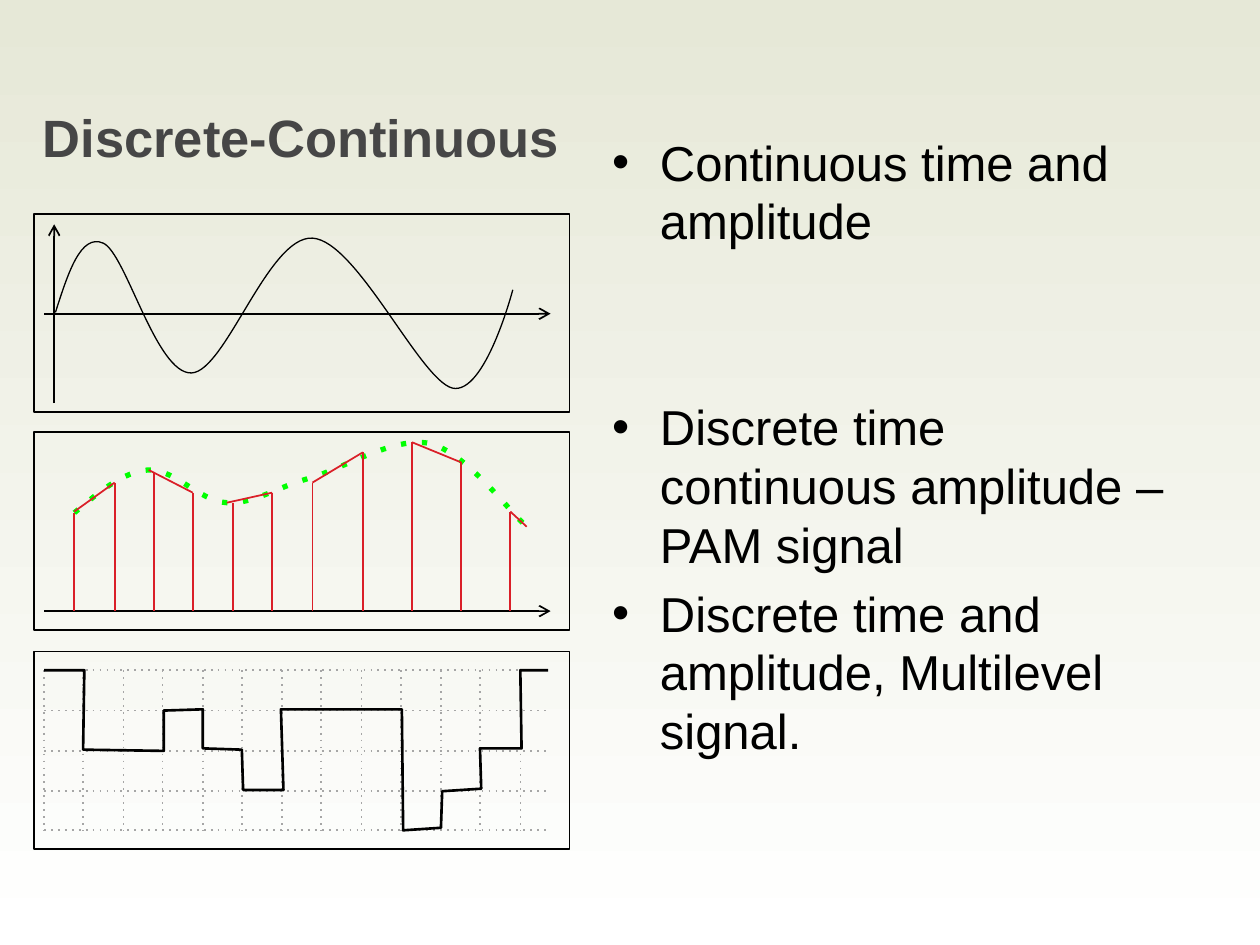
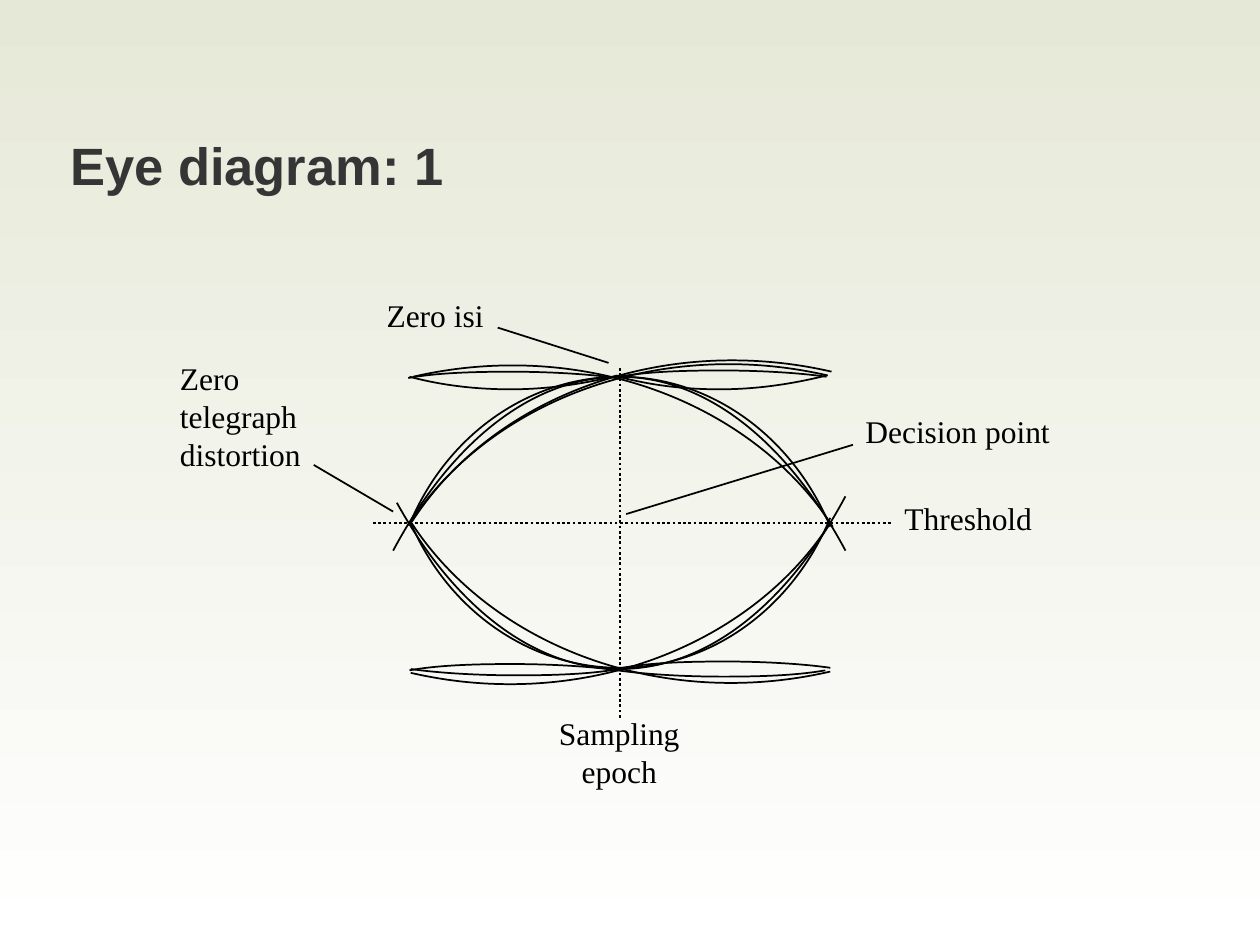
from dataclasses import dataclass

from lxml import etree
from pptx import Presentation
from pptx import util as u
from pptx.dml.color import RGBColor
from pptx.enum import shapes, text
from pptx.oxml.ns import qn

PX = 9144  # EMU per px, 100 px to the inch


@dataclass(frozen=True)
class Theme:
    sky: str = "E6E8D7"
    paper: str = "FFFFFF"
    ink: str = "000000"
    title: str = "464646"
    title_dark: str = "353535"
    sample: str = "DA1F28"
    envelope: str = "00FF00"
    grid: str = "A6A6A6"
    sans: str = "Arial"
    serif: str = "Times New Roman"
    title_size: int = 30
    body_size: int = 28
    label_size: int = 18


class Slides:
    def __init__(self, theme):
        self.theme = theme
        self.deck = Presentation()
        self.deck.slide_width, self.deck.slide_height = 1000 * PX, 750 * PX
        self.page = None

    def new_page(self):
        self.page = self.deck.slides.add_slide(self.deck.slide_layouts[6])
        fill = self.page.background.fill
        fill.gradient()
        fill.gradient_angle = 270
        for stop, color, place in zip(fill.gradient_stops, (self.theme.sky, self.theme.paper), (0, 1)):
            stop.color.rgb = RGBColor.from_string(color)
            stop.position = place

    def stroke(self, shape, color, width, dash=None, arrow=False):
        shape.line.color.rgb = RGBColor.from_string(color or self.theme.ink)
        shape.line.width = u.Pt(width)
        outline = shape.element.spPr.find(qn("a:ln"))
        if dash:
            etree.SubElement(outline, qn("a:prstDash"), val=dash)
        if arrow:
            etree.SubElement(outline, qn("a:tailEnd"), type="arrow")

    def line(self, start, end, color=None, width=1, dash=None, arrow=False):
        ends = [v * PX for v in (*start, *end)]
        connector = self.page.shapes.add_connector(shapes.MSO_CONNECTOR.STRAIGHT, *ends)
        self.stroke(connector, color, width, dash, arrow)
        etree.SubElement(connector.element.spPr, qn("a:effectLst"))

    def frame(self, *place):
        box = self.page.shapes.add_shape(shapes.MSO_SHAPE.RECTANGLE, *(v * PX for v in place))
        box.fill.background()
        box.shadow.inherit = False
        self.stroke(box, None, 1)

    def outline(self, points, color=None, width=1, dash=None):
        builder = self.page.shapes.build_freeform(*points[0], scale=PX)
        builder.add_line_segments(points[1:], close=False)
        shape = builder.convert_to_shape()
        shape.fill.background()
        shape.shadow.inherit = False
        self.stroke(shape, color, width, dash)
        return shape

    def curve(self, points, **style):
        """Bezier curve: a start, then two handles and an anchor per segment."""
        shape = self.outline(points, **style)
        steps = shape.element.xpath(".//a:lnTo")
        for i in range(0, len(steps), 3):
            bend = etree.Element(qn("a:cubicBezTo"))
            steps[i].addprevious(bend)
            for step in steps[i:i + 3]:
                bend.append(step[0])
                step.getparent().remove(step)

    def text_box(self, place, lines, font, size, color=None, bold=False,
                 align=text.PP_ALIGN.LEFT, anchor=text.MSO_ANCHOR.TOP, gaps=(0,), bullet=False):
        frame = self.page.shapes.add_textbox(*(v * PX for v in place)).text_frame
        frame.word_wrap = True
        frame.vertical_anchor = anchor
        for i, (line, gap) in enumerate(zip(lines, gaps)):
            para = frame.paragraphs[0] if i == 0 else frame.add_paragraph()
            para.text = line
            para.alignment = align
            if gap:
                para.space_before = u.Pt(gap)
            if bullet:
                props = para._p.get_or_add_pPr()
                props.set("marL", str(38 * PX))
                props.set("indent", str(-38 * PX))
                etree.SubElement(props, qn("a:buFont"), typeface=font)
                etree.SubElement(props, qn("a:buChar"), char="•")
            para.font.name, para.font.size, para.font.bold = font, u.Pt(size), bold
            para.font.color.rgb = RGBColor.from_string(color or self.theme.ink)

    def title(self, place, words, color):
        self.text_box(place, [words], self.theme.sans, self.theme.title_size, color,
                      bold=True, anchor=text.MSO_ANCHOR.MIDDLE)

    def bullets(self, place, lines, gaps):
        self.text_box(place, lines, self.theme.sans, self.theme.body_size, gaps=gaps, bullet=True)

    def label(self, place, words, **style):
        self.text_box(place, [words], self.theme.serif, self.theme.label_size, **style)


def placed(arc, origin, flip_x=1, flip_y=1):
    return [(origin[0] + flip_x * x, origin[1] + flip_y * y) for x, y in arc]


def signal_types(s):
    theme = s.theme
    s.new_page()
    s.title((24, 77, 928, 63), "Discrete-Continuous", theme.title)
    s.bullets((476, 100, 464, 543),
              ["Continuous time and amplitude",
               "Discrete time continuous amplitude –PAM signal",
               "Discrete time and amplitude, Multilevel signal."],
              gaps=(0, 84, 5.6))
    for i in range(3):
        s.frame(27, 170 + 347 * i // 2, 425, 157)

    # Continuous signal
    s.line((43, 320), (43, 178), arrow=True)
    s.line((35, 249), (437, 249), arrow=True)
    s.curve([(44, 248), (54, 217), (64, 185), (82, 193), (100, 201), (124, 297), (152, 296),
             (179, 295), (213, 187), (248, 189), (283, 191), (333, 301), (359, 308),
             (385, 314), (407, 230), (407, 230)], width=0.75)

    # Sampled signal: envelope, pulses and their tops
    base = 485
    s.line((35, base), (437, base), arrow=True)
    s.curve([(59, 407), (78, 391), (98, 374), (118, 373), (138, 372), (159, 398), (180, 399),
             (201, 400), (217, 388), (244, 380), (271, 373), (312, 346), (341, 352),
             (370, 359), (405, 407), (418, 418)], color=theme.envelope, width=3, dash="dot")
    pulses = [(59, 407), (91, 383), (122, 375), (153, 391), (185, 399), (216, 391),
              (248, 383), (288, 359), (327, 351), (366, 367), (405, 406)]
    for x, top in pulses:
        s.line((x, top), (x, base), theme.sample)
    tops = [((59, 406), (91, 383)), ((118, 373), (153, 391)), ((180, 399), (216, 391)),
            ((288, 359), (248, 383)), ((327, 351), (366, 367)), ((405, 406), (418, 418))]
    for start, end in tops:
        s.line(start, end, theme.sample)

    # Multilevel signal on its grid
    for i in range(5):
        y = 659 - 127 * i // 4
        s.line((35, y), (437, y), theme.grid, dash="dot")
    for i in range(13):
        x = 35 + 63 * i // 2
        s.line((x, 532), (x, 659), theme.grid, dash="dot")
    s.outline([(35, 532), (67, 532), (66, 595), (130, 596), (130, 564), (161, 563), (161, 594),
               (192, 595), (193, 627), (225, 627), (223, 563), (319, 563), (320, 659),
               (350, 657), (351, 628), (382, 626), (381, 594), (414, 594), (413, 532),
               (435, 532)], width=1.5)


def eye_diagram(s):
    s.new_page()
    s.title((46, 86, 890, 90), "Eye diagram: 1", s.theme.title_dark)

    # Sampling and threshold axes
    s.line((492, 292), (492, 570), width=1.5, dash="sysDot")
    s.line((296, 415), (707, 415), width=1.5, dash="sysDot")

    # Arcs relative to their start
    outer_top = [(0, 0), (47, -88), (112, -138), (180, -138), (247, -138), (312, -88), (359, 0)]
    outer_low = [(0, 0), (47, 85), (111, 132), (177, 132), (244, 132), (309, 83), (356, -5)]
    inner = [(0, 0), (30, -70), (95, -115), (166, -115), (238, -115), (303, -68), (333, 4)]
    sweep = [(0, 0), (51, -79), (148, -128), (254, -128), (281, -128), (307, -125), (333, -119)]
    dip = [(0, 0), (-28, 7), (-56, 11), (-85, 11), (-112, 11), (-139, 8), (-165, 1)]
    ripple = [(0, 0), (22, -4), (51, -5), (81, -5), (113, -5), (144, -3), (165, 0)]
    arcs = [(outer_top, (312, 437)), (outer_low, (315, 399)),
            (inner, (326, 414)), (inner, (326, 415), 1, -1),
            (sweep, (661, 418), -1), (sweep, (324, 417)), (sweep, (659, 415), -1, -1),
            (sweep, (327, 414)), (sweep, (326, 414), 1, -1),
            (dip, (490, 298)), (dip, (656, 298)),
            (ripple, (325, 532)), (ripple, (655, 532), -1, -1), (ripple, (494, 530)),
            (ripple, (324, 300)), (ripple, (491, 299)), (ripple, (491, 531), -1, -1)]
    for arc in arcs:
        s.curve(placed(*arc))

    # Labels and pointers
    s.label((677, 322, 200, 40), "Decision point")
    s.label((708, 391, 150, 40), "Threshold")
    s.label((297, 230, 120, 40), "Zero isi")
    s.label((428, 562, 127, 70), "Sampling epoch", align=text.PP_ALIGN.CENTER)
    s.label((133, 280, 121, 100), "Zero telegraph distortion")
    for start, end in [((677, 353), (497, 408)), ((395, 260), (483, 288)), ((249, 369), (312, 406))]:
        s.line(start, end)


def main():
    s = Slides(Theme())
    signal_types(s)
    eye_diagram(s)
    s.deck.save("out.pptx")


if __name__ == "__main__":
    main()
